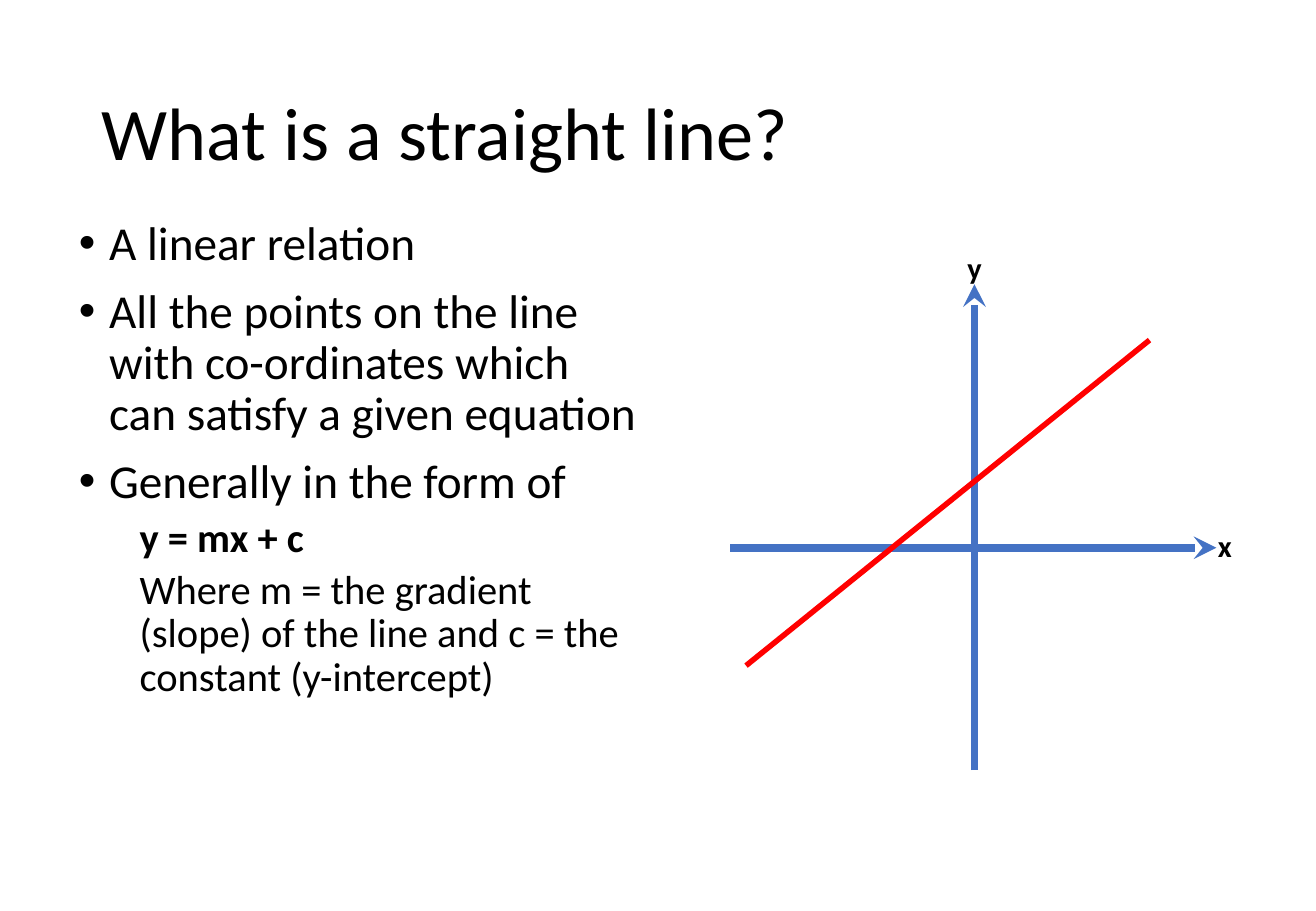
import pptx
import pptx.dml.color
import pptx.enum.shapes
import pptx.enum.text
import pptx.oxml.ns
import pptx.util
import lxml.etree

ANCHOR = pptx.enum.text.MSO_ANCHOR
ALIGN = pptx.enum.text.PP_ALIGN


def colour(value):
    return pptx.dml.color.RGBColor.from_string(value)


def add_element(parent, tag, **attributes):
    return lxml.etree.SubElement(parent, pptx.oxml.ns.qn(tag), attributes)


def write(para, text, font="Calibri", size=28, ink="000000", bold=False,
          align=ALIGN.LEFT, spacing=1.0, before=0, level=0, indent=0, bullet=None):
    para.alignment = align
    para.line_spacing = spacing
    para.space_before = pptx.util.Pt(before)
    para.level = level
    properties = para._p.get_or_add_pPr()
    properties.set("marL", str(pptx.util.Inches(indent)))
    properties.set("indent", str(pptx.util.Inches(-indent if bullet else 0)))
    if bullet:
        add_element(properties, "a:buFont", typeface="Arial")
        add_element(properties, "a:buChar", char=bullet)
    else:
        add_element(properties, "a:buNone")
    span = para.add_run()
    span.text = text
    span.font.name = font
    span.font.size = pptx.util.Pt(size)
    span.font.bold = bold
    span.font.color.rgb = colour(ink)


class Page:
    axis_colour = "4472C4"
    line_colour = "FF0000"

    def __init__(self, deck):
        self.width = deck.slide_width
        self.height = deck.slide_height
        self.slide = deck.slides.add_slide(deck.slide_layouts[6])

    def across(self, percent):
        return round(self.width * percent / 100)

    def down(self, percent):
        return round(self.height * percent / 100)

    def text(self, left, top, width, height, paragraphs, anchor=ANCHOR.TOP):
        box = self.slide.shapes.add_textbox(
            self.across(left), self.down(top), self.across(width), self.down(height))
        frame = box.text_frame
        frame.word_wrap = True
        frame.vertical_anchor = anchor
        for index, (text, style) in enumerate(paragraphs):
            para = frame.add_paragraph() if index else frame.paragraphs[0]
            write(para, text, **style)

    def label(self, center, middle, text):
        width, height = 3.32, 5.33
        self.text(center - width / 2, middle - height / 2, width, height,
                  [(text, dict(size=18, bold=True, align=ALIGN.CENTER))])

    def line(self, start, end, ink, weight, arrow=None):
        connector = self.slide.shapes.add_connector(
            pptx.enum.shapes.MSO_CONNECTOR.STRAIGHT,
            self.across(start[0]), self.down(start[1]),
            self.across(end[0]), self.down(end[1]))
        connector.line.color.rgb = colour(ink)
        connector.line.width = pptx.util.Pt(weight)
        if arrow:
            add_element(connector.line._get_or_add_ln(), "a:tailEnd", type=arrow)
        add_element(connector._element.spPr, "a:effectLst")

    def axis(self, start, end):
        self.line(start, end, self.axis_colour, 4.5, arrow="stealth")


def main():
    deck = pptx.Presentation()
    deck.slide_width = pptx.util.Inches(10.83)
    deck.slide_height = pptx.util.Inches(7.5)
    page = Page(deck)

    page.text(6.83, 5.33, 86.24, 19.33,
              [("What is a straight line?", dict(size=44, spacing=0.9))],
              anchor=ANCHOR.MIDDLE)

    point = dict(spacing=0.9, before=10, indent=0.25, bullet="•")
    detail = dict(size=24, spacing=0.9, before=5, level=1, indent=0.5)
    page.text(5.08, 23.47, 44.6, 63.47, [
        ("A linear relation", {**point, "before": 0}),
        ("All the points on the line with co-ordinates which can satisfy a given equation",
         point),
        ("Generally in the form of", point),
        ("y = mx + c", {**detail, "bold": True}),
        ("Where m = the gradient (slope) of the line and c = the constant (y-intercept)",
         detail),
    ])

    origin_x, origin_y = 74.05, 60.13
    page.axis((origin_x, 84.53), (origin_x, 31.2))
    page.axis((55.49, origin_y), (92.43, origin_y))
    page.label(origin_x, 29.33, "y")
    page.label(93.07, 59.87, "x")
    page.line((56.69, 73.07), (87.35, 37.33), page.line_colour, 3.25)

    deck.save("out.pptx")


if __name__ == "__main__":
    main()
